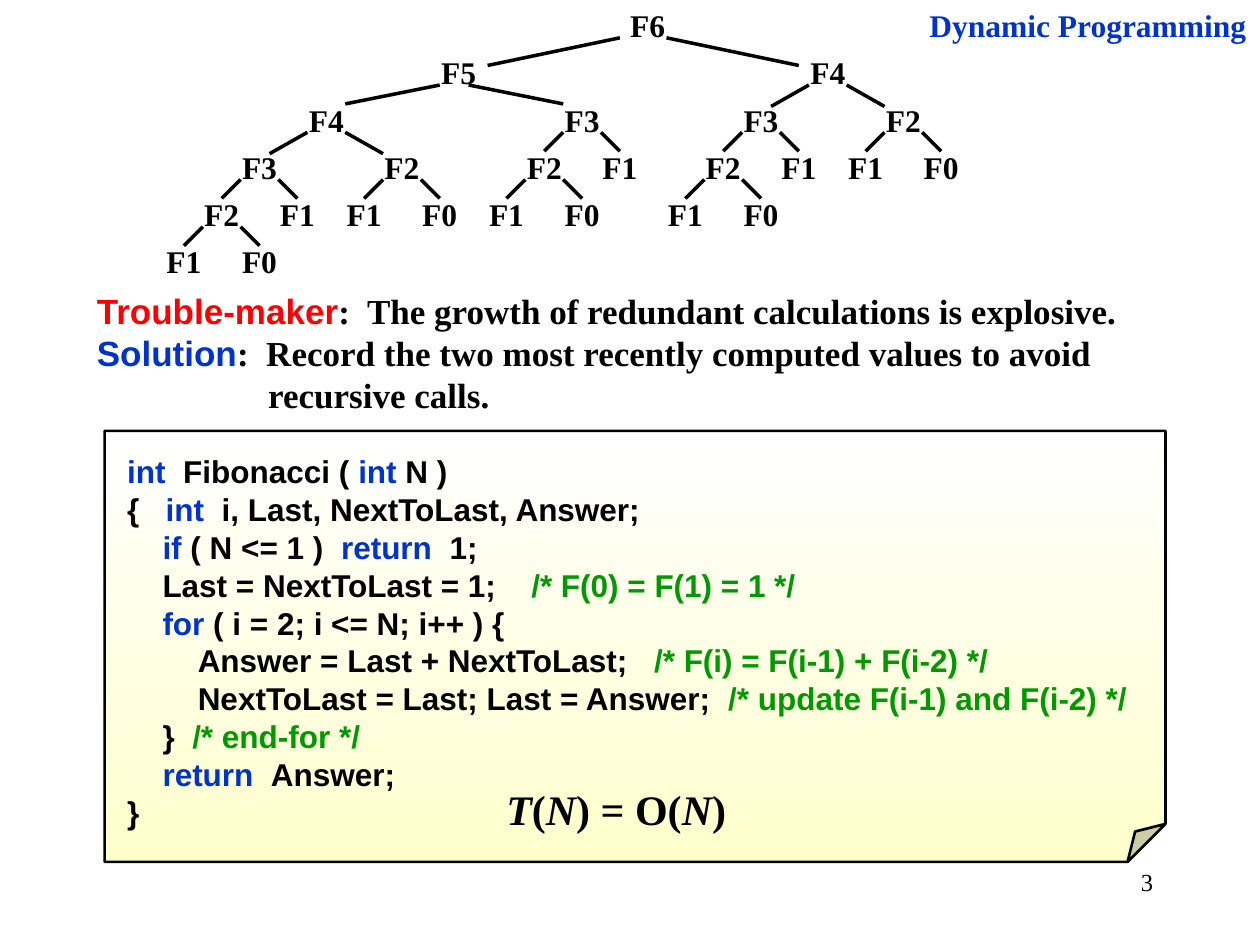
import pptx
import pptx.dml.color
import pptx.enum.shapes
import pptx.enum.text
import pptx.oxml.ns
import pptx.util
from lxml import etree

Inches = pptx.util.Inches
Pt = pptx.util.Pt
RGBColor = pptx.dml.color.RGBColor
ALIGN = pptx.enum.text.PP_ALIGN
qn = pptx.oxml.ns.qn

BLACK = RGBColor(0x00, 0x00, 0x00)
WHITE = RGBColor(0xFF, 0xFF, 0xFF)
BLUE = RGBColor(0x00, 0x33, 0xCC)
RED = RGBColor(0xFF, 0x00, 0x00)
GREEN = RGBColor(0x00, 0x99, 0x00)
CREAM = RGBColor(0xFF, 0xFF, 0xCC)
SERIF = "Times New Roman"
SANS = "Arial"

LABEL_WIDTH, LABEL_HEIGHT = Inches(0.6), Inches(0.4)
LEVEL = Inches(0.75) // 2
CODE_INDENT = Inches(0.28)

# For each call F(n), measured from the middle of its label: how far the two
# calls F(n-1) and F(n-2) lie sideways, the (start, end) of both branches
# sideways, and the height that the branches fall.
BRANCHES = {
    2: ((-0.3, 0.3), ((-0.15, -0.3), (0.15, 0.3)), 0.15),
    3: ((-0.3, 0.3), ((-0.15, -0.3), (0.15, 0.3)), 0.15),
    4: ((-0.53, 0.6), ((-0.15, -0.45), (0.15, 0.45)), 0.17),
    5: ((-1.05, 0.98), ((-0.15, -0.9), (0.08, 0.83)), 0.15),
    6: ((-1.5, 1.43), ((-0.22, -1.27), (0.15, 1.2)), 0.22),
}

CODE = [
    (0, [("int", BLUE), ("  Fibonacci ( ", BLACK), ("int", BLUE), (" N )", BLACK)]),
    (0, [("{   ", BLACK), ("int", BLUE), ("  i, Last, NextToLast, Answer;", BLACK)]),
    (1, [("if", BLUE), (" ( N <= 1 )  ", BLACK), ("return", BLUE), ("  1;", BLACK)]),
    (1, [("Last = NextToLast = 1;    ", BLACK), ("/* F(0) = F(1) = 1 */", GREEN)]),
    (1, [("for", BLUE), (" ( i = 2; i <= N; i++ ) {", BLACK)]),
    (2, [("Answer = Last + NextToLast;   ", BLACK), ("/* F(i) = F(i-1) + F(i-2) */", GREEN)]),
    (2, [("NextToLast = Last; Last = Answer;  ", BLACK),
         ("/* update F(i-1) and F(i-2) */", GREEN)]),
    (1, [("}  ", BLACK), ("/* end-for */", GREEN)]),
    (1, [("return  ", BLUE), ("Answer;", BLACK)]),
    (0, [("}", BLACK)]),
]


def add_span(para, text, size, font=SERIF, color=BLACK, bold=True, italic=False):
    span = para.add_run()
    span.text = text
    span.font.name = font
    span.font.size = Pt(size)
    span.font.bold = bold
    span.font.italic = italic
    span.font.color.rgb = color


def add_text_box(shapes, left, top, width, height, align=ALIGN.LEFT):
    """Add a wrapping text box and return its first paragraph."""
    frame = shapes.add_textbox(left, top, width, height).text_frame
    frame.word_wrap = True
    para = frame.paragraphs[0]
    para.alignment = align
    return para


def set_indent(para, left, first_line=0):
    properties = para._p.get_or_add_pPr()
    properties.set("marL", str(left))
    properties.set("indent", str(first_line))


def add_branch(shapes, start_x, start_y, end_x, end_y):
    branch = shapes.add_connector(
        pptx.enum.shapes.MSO_CONNECTOR.STRAIGHT, start_x, start_y, end_x, end_y)
    branch.line.color.rgb = BLACK
    branch.line.width = Pt(2)
    etree.SubElement(branch._element.spPr, qn("a:effectLst"))


def add_call_tree(shapes, number, middle, top):
    """Draw the call F(number) and, below it, every call that it makes."""
    label = add_text_box(shapes, middle - LABEL_WIDTH // 2, top,
                         LABEL_WIDTH, LABEL_HEIGHT, ALIGN.CENTER)
    add_span(label, f"F{number}", 18)
    if number not in BRANCHES:
        return
    offsets, branches, fall = BRANCHES[number]
    branch_top = top + Inches(0.3)
    for start, end in branches:
        add_branch(shapes, middle + Inches(start), branch_top,
                   middle + Inches(end), branch_top + Inches(fall))
    for step, offset in enumerate(offsets, start=1):
        add_call_tree(shapes, number - step, middle + Inches(offset), top + LEVEL)


def add_header(page, left, top, width, height):
    para = add_text_box(page.shapes, left, top, width, height, ALIGN.RIGHT)
    add_span(para, "Dynamic Programming", 18, color=BLUE)


def add_page_number(page, left, top, width, height):
    para = add_text_box(page.shapes, left, top, width, height, ALIGN.RIGHT)
    add_span(para, "3", 14, bold=False)


def add_statement(page, left, top, width, height, term, color, text, hanging=0):
    para = add_text_box(page.shapes, left, top, width, height)
    set_indent(para, hanging, -hanging)
    add_span(para, term, 20, SANS, color)
    add_span(para, f":  {text}", 20)


def set_fold(note, size):
    """Set the folded corner's size, in 1/100000 of the note's shorter side."""
    geometry = note._element.spPr.find(qn("a:prstGeom"))
    guides = geometry.find(qn("a:avLst"))
    if guides is None:
        guides = etree.SubElement(geometry, qn("a:avLst"))
    etree.SubElement(guides, qn("a:gd"), name="adj", fmla=f"val {size}")


def add_code_note(page, left, top, width, height):
    note = page.shapes.add_shape(
        pptx.enum.shapes.MSO_SHAPE.FOLDED_CORNER, left, top, width, height)
    set_fold(note, 8800)
    note.shadow.inherit = False
    note.line.color.rgb = BLACK
    note.line.width = Pt(1.5)
    note.fill.gradient()
    note.fill.gradient_angle = 270
    for stop, color, position in zip(note.fill.gradient_stops, (WHITE, CREAM), (0, 1)):
        stop.color.rgb = color
        stop.position = position

    frame = note.text_frame
    frame.word_wrap = False
    frame.vertical_anchor = pptx.enum.text.MSO_ANCHOR.TOP
    frame.margin_left, frame.margin_top = Inches(0.18), Inches(0.17)
    for index, (depth, spans) in enumerate(CODE):
        para = frame.add_paragraph() if index else frame.paragraphs[0]
        para.alignment = ALIGN.LEFT
        set_indent(para, depth * CODE_INDENT)
        for text, color in spans:
            add_span(para, text, 18, SANS, color)


def add_running_time(page, left, top, width, height):
    para = add_text_box(page.shapes, left, top, width, height)
    for text in ("T", "(", "N", ") = O(", "N", ")"):
        add_span(para, text, 24, italic=text in ("T", "N"))


def main():
    deck = pptx.Presentation()
    deck.slide_width, deck.slide_height = Inches(10), Inches(7.5)
    page = deck.slides.add_slide(deck.slide_layouts[6])
    add_page_number(page, Inches(7.17), Inches(6.83), Inches(2.08), Inches(0.5))
    add_header(page, Inches(6.5), 0, Inches(3.49), Inches(0.4))
    add_call_tree(page.shapes.add_group_shape().shapes, 6, Inches(5.14), 0)
    add_statement(page, Inches(0.67), Inches(2.25), Inches(8.5), Inches(0.44),
                  "Trouble-maker", RED,
                  "The growth of redundant calculations is explosive.")
    add_statement(page, Inches(0.67), Inches(2.58), Inches(8.42), Inches(0.77),
                  "Solution", BLUE,
                  "Record the two most recently computed values to avoid recursive calls.",
                  hanging=Inches(1.36))
    add_code_note(page, Inches(0.83), Inches(3.42), Inches(8.42), Inches(3.42))
    add_running_time(page, Inches(3.92), Inches(6.17), Inches(2.17), Inches(0.5))
    deck.save("out.pptx")


if __name__ == "__main__":
    main()
